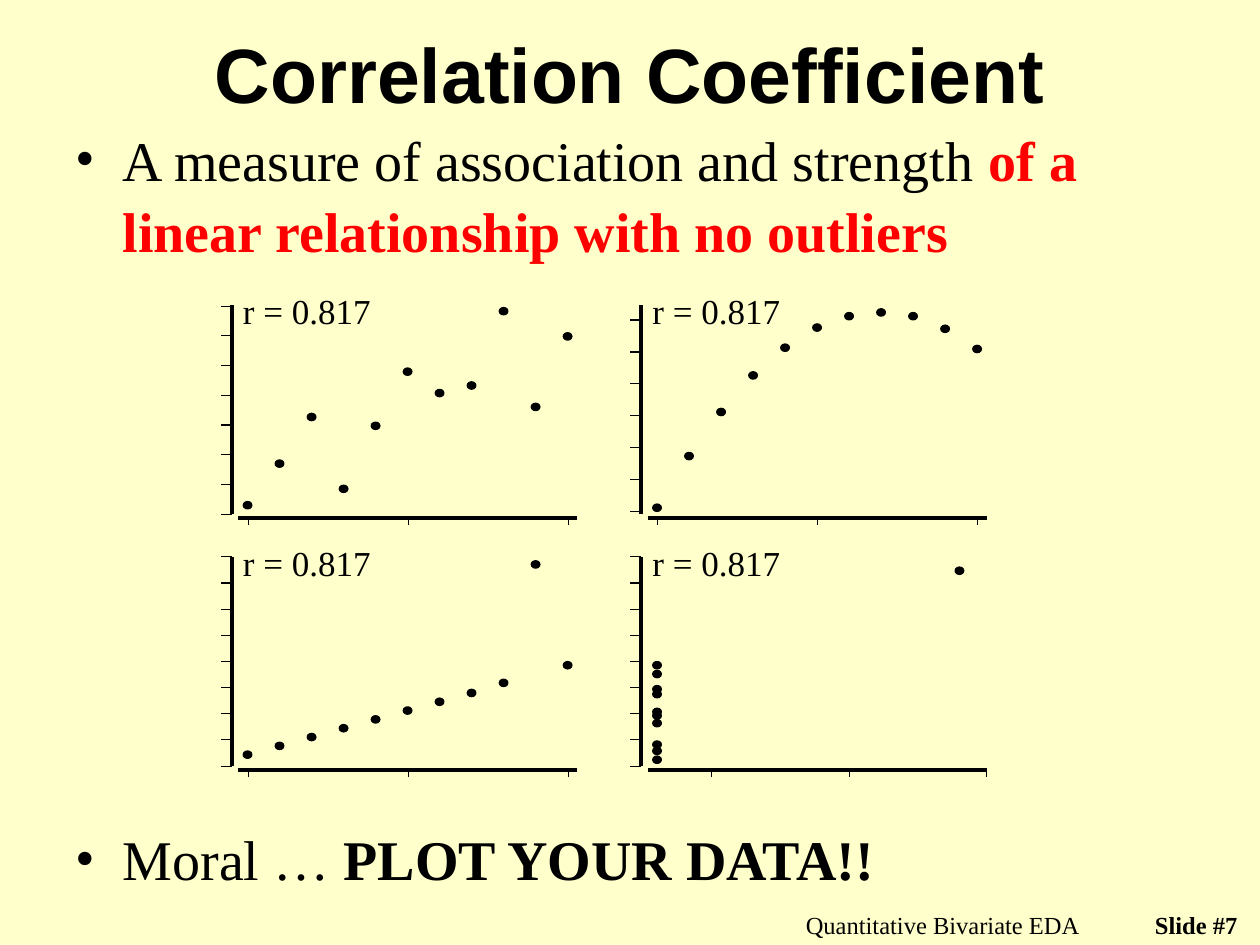
from lxml.etree import SubElement as Sub
from pptx import Presentation as Deck
from pptx.dml.color import RGBColor
from pptx.enum.shapes import MSO_CONNECTOR as Conn, MSO_SHAPE as Form
from pptx.enum.text import MSO_ANCHOR as Anchor, PP_ALIGN as Align
from pptx.oxml.ns import qn
from pptx.util import Inches, Pt

BLACK, RED, CREAM = "000000", "FF0000", "FFFFCC"
SERIF, SANS = "Times New Roman", "Arial"


def paint(fill, color):
    fill.solid()
    fill.fore_color.rgb = RGBColor.from_string(color)


def add_box(slide, box, anchor=Anchor.TOP):
    frame = slide.shapes.add_textbox(*map(Inches, box)).text_frame
    frame.word_wrap = True
    frame.vertical_anchor = anchor
    return frame


def add_run(para, text, size, bold=False, color=BLACK, face=SERIF):
    run = para.add_run()
    run.text = text
    run.font.size = Pt(size)
    run.font.bold = bold
    run.font.name = face
    paint(run.font.fill, color)


def add_label(slide, box, text, size, align=Align.LEFT, bold=False):
    para = add_box(slide, box).paragraphs[0]
    para.alignment = align
    add_run(para, text, size, bold)


def add_title(slide, box):
    para = add_box(slide, box, Anchor.MIDDLE).paragraphs[0]
    para.alignment = Align.CENTER
    add_run(para, "Correlation Coefficient", 44, True, face=SANS)


def add_bullet(para):
    props = para._p.get_or_add_pPr()
    props.set("marL", str(Inches(0.375)))
    props.set("indent", str(Inches(-0.375)))
    Sub(props, qn("a:buFont")).set("typeface", SERIF)
    Sub(props, qn("a:buChar")).set("char", "•")


def add_body(slide, box):
    frame = add_box(slide, box)
    first, last = frame.paragraphs[0], frame.add_paragraph()
    last.space_before = Pt(319)
    for para in (first, last):
        para.line_spacing = 1.05
        add_bullet(para)
    add_run(first, "A measure of association and strength ", 32)
    add_run(first, "of a linear relationship with no outliers", 32, True, RED)
    add_run(last, "Moral … ", 32)
    add_run(last, "PLOT YOUR DATA!!", 32, True)


def add_line(group, x1, y1, x2, y2, width):
    line = group.shapes.add_connector(
        Conn.STRAIGHT, *map(Inches, (x1, y1, x2, y2)))
    paint(line.line.fill, BLACK)
    line.line.width = Pt(width)
    Sub(line._element.spPr, qn("a:effectLst"))


def add_dot(group, x, y):
    dot = group.shapes.add_shape(
        Form.OVAL, *map(Inches, (x, y, 0.07, 0.06)))
    dot.shadow.inherit = False
    paint(dot.fill, BLACK)
    paint(dot.line.fill, BLACK)
    dot.line.width = Pt(0.63)


def add_plot(slide, left, top, xticks, yticks, dots):
    group = slide.shapes.add_group_shape()
    base, axis = top + 1.69, left + 0.09
    for x in xticks:
        add_line(group, left + x, base, left + x, base + 0.06, 0.63)
    low, high, count = yticks
    for i in range(count):
        y = top + low + (high - low) * i / (count - 1)
        add_line(group, axis, y, left, y, 0.63)
    add_line(group, left + 0.14, base, left + 2.83, base, 2.25)
    add_line(group, axis, top + 1.66, axis, top, 2.25)
    for x, y in dots:
        add_dot(group, left + x, top + y)
    add_label(slide, (left + 0.08, top - 0.17, 1.42, 0.46), "r = 0.817", 20)


def add_plots(slide, left, top):
    steps = [0.18 + 0.254 * i for i in range(11)]
    even, wide = (0.22, 1.49, 2.76), (0.65, 1.74, 2.83)
    noisy = (1.56, 1.23, 0.86, 1.43, 0.93, 0.5, 0.67, 0.61, 0.02, 0.78, 0.22)
    curve = (1.58, 1.17, 0.82, 0.53, 0.31, 0.15, 0.06, 0.03, 0.06, 0.16, 0.32)
    slope = (1.54, 1.47, 1.4, 1.33, 1.26, 1.19, 1.12, 1.05, 0.97, 0.03, 0.83)
    stack = (1.29, 1.46, 1.06, 0.83, 0.9, 1.2, 1.58, 1.51, 1.02, 1.23, 0.08)
    plots = [
        (even, (0.01, 1.66, 8), zip(steps, noisy)),
        (even, (0.12, 1.64, 7), zip(steps, curve)),
        (even, (0, 1.66, 9), zip(steps, slope)),
        (wide, (0, 1.66, 9), zip([0.18] * 10 + [2.58], stack)),
    ]
    for i, plot in enumerate(plots):
        row, col = divmod(i, 2)
        add_plot(slide, left + 3.25 * col, top + 2 * row, *plot)


def add_footer(slide, top):
    add_label(slide, (5.5, top, 3.17, 0.25),
              "Quantitative Bivariate EDA", 14, Align.RIGHT)
    add_label(slide, (8.67, top, 1.25, 0.25), "Slide #7", 14, Align.RIGHT, True)


def main():
    deck = Deck()
    deck.slide_width, deck.slide_height = Inches(10), Inches(7.5)
    slide = deck.slides.add_slide(deck.slide_layouts[6])
    paint(slide.background.fill, CREAM)
    add_footer(slide, 7.17)
    add_body(slide, (0.5, 0.92, 8.92, 6.25))
    add_title(slide, (0.75, 0.08, 8.5, 1))
    add_plots(slide, 1.75, 2.42)
    deck.save("out.pptx")


if __name__ == "__main__":
    main()
